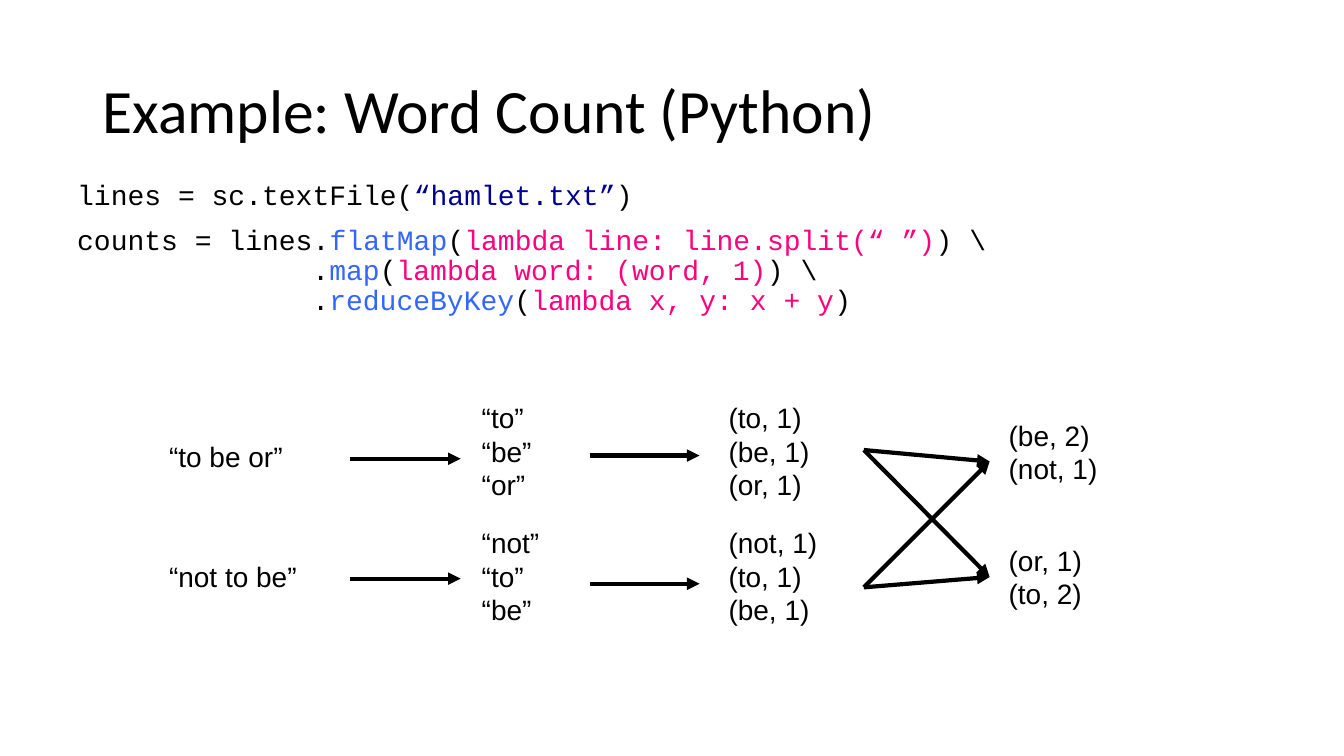
import itertools

import lxml.etree
import pptx
import pptx.dml.color
import pptx.enum.shapes
import pptx.enum.text
import pptx.oxml.ns
import pptx.util

Cm, Pt = pptx.util.Cm, pptx.util.Pt

HEADING = "Example: Word Count (Python)"
BLACK = "000000"
SYNTAX = {"plain": BLACK, "string": "000090", "method": "3366FF", "function": "FF0080"}
CODE_SIZE = 20
CODE_INDENT = 5.93

CODE = [
    (0, 10, [("lines = sc.textFile(", "plain"), ("“hamlet.txt”", "string"), (")", "plain")]),
    (0, 10, [("counts = lines.", "plain"), ("flatMap", "method"), ("(", "plain"),
             ("lambda line: line.split(“ ”)", "function"), (") \\", "plain")]),
    (CODE_INDENT, 0, [(".", "plain"), ("map", "method"), ("(", "plain"),
                      ("lambda word: (word, 1)", "function"), (") \\", "plain")]),
    (CODE_INDENT, 0, [(".", "plain"), ("reduceByKey", "method"), ("(", "plain"),
                      ("lambda x, y: x + y", "function"), (")", "plain")]),
]

STAGES = [
    (4.01, 4, (11.51, 14.53), ("“to be or”", "“not to be”")),
    (11.89, 2.3, (11.37, 14.52), ("“to”\n“be”\n“or”", "“not”\n“to”\n“be”")),
    (18.11, 3, (11.37, 14.52), ("(to, 1)\n(be, 1)\n(or, 1)", "(not, 1)\n(to, 1)\n(be, 1)")),
    (25.17, 3, (11.39, 14.54), ("(be, 2)\n(not, 1)", "(or, 1)\n(to, 2)")),
]
LINE_HEIGHT, INSETS = 0.85, 0.25

PARALLEL_STEPS = [
    (8.81, 11.61, (11.56, 14.58)),
    (14.86, 17.63, (11.48, 14.71)),
]
SHUFFLE_LEFT, SHUFFLE_RIGHT = 21.77, 24.94
SHUFFLE_STARTS, SHUFFLE_ENDS = (11.34, 14.8), (11.63, 14.54)


def rgb(color):
    return pptx.dml.color.RGBColor.from_string(color)


def style(run, face, size, color=BLACK):
    run.font.name = face
    run.font.size = Pt(size)
    run.font.color.rgb = rgb(color)


def place(part, left, top, width, height):
    part.left, part.top, part.width, part.height = Cm(left), Cm(top), Cm(width), Cm(height)


def add_heading(slide):
    heading = slide.shapes.title
    place(heading, 2.33, 1.01, 29.21, 3.68)
    heading.text_frame.text = HEADING
    heading.text_frame.vertical_anchor = pptx.enum.text.MSO_ANCHOR.MIDDLE
    paragraph = heading.text_frame.paragraphs[0]
    paragraph.alignment = pptx.enum.text.PP_ALIGN.LEFT
    paragraph.line_spacing = 0.9
    style(paragraph.runs[0], "Calibri", 44)


def add_code(slide):
    listing = slide.placeholders[1]
    place(listing, 1.69, 4.45, 30.48, 7.2)
    frame = listing.text_frame
    frame.auto_size = pptx.enum.text.MSO_AUTO_SIZE.NONE
    frame.text = "\n".join("" for _ in CODE)
    for paragraph, (indent, gap, tokens) in zip(frame.paragraphs, CODE):
        paragraph.line_spacing = 0.9
        paragraph.space_before = Pt(gap)
        properties = paragraph._p.get_or_add_pPr()
        properties.set("marL", str(Cm(indent)))
        properties.set("indent", "0")
        lxml.etree.SubElement(properties, pptx.oxml.ns.qn("a:buNone"))
        for words, role in tokens:
            run = paragraph.add_run()
            run.text = words
            style(run, "Courier New", CODE_SIZE, SYNTAX[role])


def add_records(slide, left, width, middle, records):
    height = LINE_HEIGHT * len(records.split("\n")) + INSETS
    label = slide.shapes.add_textbox(Cm(left), Cm(middle - height / 2), Cm(width), Cm(height))
    label.text_frame.word_wrap = True
    label.text_frame.text = records
    for paragraph in label.text_frame.paragraphs:
        style(paragraph.runs[0], "Arial", 20)


def add_arrow(slide, x1, y1, x2, y2):
    arrow = slide.shapes.add_connector(
        pptx.enum.shapes.MSO_CONNECTOR.STRAIGHT, Cm(x1), Cm(y1), Cm(x2), Cm(y2))
    arrow.line.color.rgb = rgb(BLACK)
    arrow.line.width = Pt(3)
    outline = arrow.line._get_or_add_ln()
    lxml.etree.SubElement(outline, pptx.oxml.ns.qn("a:tailEnd"), type="triangle")
    lxml.etree.SubElement(arrow._element.spPr, pptx.oxml.ns.qn("a:effectLst"))


def main():
    deck = pptx.Presentation()
    deck.slide_width, deck.slide_height = Cm(33.87), Cm(19.05)
    slide = deck.slides.add_slide(deck.slide_layouts[1])
    add_heading(slide)
    add_code(slide)
    for left, width, middles, partitions in STAGES:
        for middle, records in zip(middles, partitions):
            add_records(slide, left, width, middle, records)
    for start, end, levels in PARALLEL_STEPS:
        for level in levels:
            add_arrow(slide, start, level, end, level)
    for start, end in itertools.product(SHUFFLE_STARTS, SHUFFLE_ENDS):
        add_arrow(slide, SHUFFLE_LEFT, start, SHUFFLE_RIGHT, end)
    deck.save("out.pptx")


if __name__ == "__main__":
    main()
